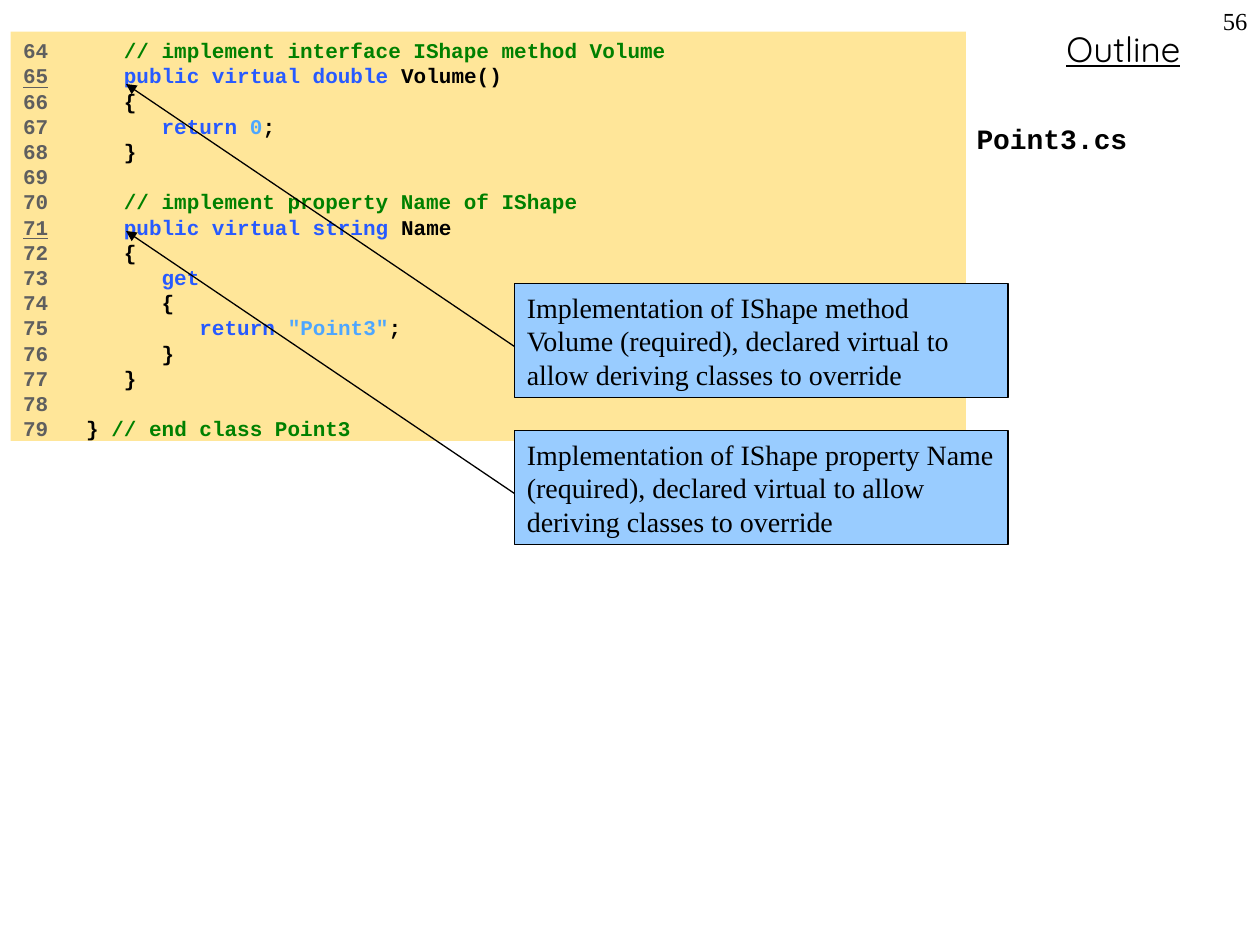
from lxml import etree
from pptx import Presentation
from pptx.dml.color import RGBColor
from pptx.enum.shapes import MSO_CONNECTOR, MSO_SHAPE
from pptx.enum.text import MSO_ANCHOR, MSO_AUTO_SIZE, PP_ALIGN
from pptx.oxml.ns import qn
from pptx.util import Pt

LEFT, CENTER, RIGHT = PP_ALIGN.LEFT, PP_ALIGN.CENTER, PP_ALIGN.RIGHT
TOP, FIXED = MSO_ANCHOR.TOP, MSO_AUTO_SIZE.NONE
RECT, LINE = MSO_SHAPE.RECTANGLE, MSO_CONNECTOR.STRAIGHT

BLACK = RGBColor(0x00, 0x00, 0x00)
GRAY = RGBColor(0x5F, 0x5F, 0x5F)
GREEN = RGBColor(0x00, 0x80, 0x00)
BLUE = RGBColor(0x27, 0x5A, 0xFF)
SKY = RGBColor(0x4D, 0xA6, 0xFF)
SAND = RGBColor(0xFF, 0xE6, 0x99)
PALE = RGBColor(0x99, 0xCC, 0xFF)

MONO, SERIF, SANS = "Courier New", "Times New Roman", "Quicksand"

FIRST = 64
MARKED = (65, 71)
CODE = [
    [("      // implement interface IShape method Volume", GREEN)],
    [("      public virtual double", BLUE), (" Volume()", BLACK)],
    [("      {", BLACK)],
    [("         return ", BLUE), ("0", SKY), (";", BLACK)],
    [("      }", BLACK)],
    [],
    [("      // implement property Name of IShape", GREEN)],
    [("      public virtual string", BLUE), (" Name", BLACK)],
    [("      {", BLACK)],
    [("         get", BLUE)],
    [("         {", BLACK)],
    [("            return ", BLUE), ('"Point3"', SKY), (";", BLACK)],
    [("         }", BLACK)],
    [("      }", BLACK)],
    [],
    [("   } ", BLACK), ("// end class Point3", GREEN)],
]
NOTES = [
    (162, "Implementation of IShape method Volume (required), "
          "declared virtual to allow deriving classes to override"),
    (246, "Implementation of IShape property Name (required), "
          "declared virtual to allow deriving classes to override"),
]


class Deck:
    """Holds the style and the current slide."""

    def __init__(self):
        self.prs = Presentation()
        self.prs.slide_width, self.prs.slide_height = Pt(720), Pt(540)
        self.slide = self.prs.slides.add_slide(self.prs.slide_layouts[0])
        self.shapes = self.slide.shapes

    def place(self, shape, x, y, w, h):
        shape.left, shape.top = Pt(x), Pt(y)
        shape.width, shape.height = Pt(w), Pt(h)

    def frame(self, shape):
        frame = shape.text_frame
        frame.word_wrap = True
        frame.auto_size = FIXED
        frame.vertical_anchor = TOP
        return frame

    def style(self, run, size, name, color=BLACK, bold=False, under=False):
        font = run.font
        font.size, font.name, font.bold = Pt(size), name, bold
        font.color.rgb = color
        font.underline = under

    def words(self, shape, text, size, name, align=LEFT, **look):
        frame = self.frame(shape)
        frame.text = text
        para = frame.paragraphs[0]
        para.alignment = align
        self.style(para.runs[0], size, name, **look)
        return para

    def label(self, box, text, size, name, align, **look):
        shape = self.shapes.add_textbox(*map(Pt, box))
        self.words(shape, text, size, name, align, **look)

    def title(self, text):
        shape = self.shapes.title
        self.place(shape, 558, 66, 162, 432)
        self.words(shape, text, 16, MONO, bold=True)
        shape.text_frame.margin_left = 0

    def code(self, rows):
        shape = self.slide.placeholders[1]
        self.place(shape, 6, 18, 546, 234)
        shape.fill.solid()
        shape.fill.fore_color.rgb = SAND
        frame = self.frame(shape)
        for num, row in enumerate(rows, FIRST):
            para = frame.paragraphs[0] if num == FIRST else frame.add_paragraph()
            para.alignment = LEFT
            para.space_before = Pt(0)
            para.line_spacing = Pt(14.4)
            para.text = str(num)
            self.style(para.runs[0], 12, MONO, GRAY, True, num in MARKED)
            for text, color in row:
                run = para.add_run()
                run.text = text
                self.style(run, 12, MONO, color, True)

    def note(self, top, text):
        shape = self.shapes.add_shape(RECT, Pt(294), Pt(top), Pt(282), Pt(65))
        shape.shadow.inherit = False
        shape.fill.solid()
        shape.fill.fore_color.rgb = PALE
        shape.line.color.rgb = BLACK
        shape.line.width = Pt(0.75)
        para = self.words(shape, text, 16, SERIF)
        para.line_spacing = Pt(19.4)

    def arrow(self, x1, y1, x2, y2):
        line = self.shapes.add_connector(LINE, Pt(x1), Pt(y1), Pt(x2), Pt(y2))
        line.line.color.rgb = BLACK
        line.line.width = Pt(0.75)
        props = line._element.spPr
        etree.SubElement(props.find(qn("a:ln")), qn("a:tailEnd"), type="triangle")
        etree.SubElement(props, qn("a:effectLst"))


def main():
    deck = Deck()
    deck.label((564, 12, 156, 32), "Outline", 20, SANS, CENTER, under=True)
    deck.title("Point3.cs")
    deck.code(CODE)
    for top, text in NOTES:
        deck.note(top, text)
        deck.arrow(294, top + 36, 72, top - 114)
    deck.label((684, 0, 36, 36), "56", 14, SERIF, RIGHT)
    deck.prs.save("out.pptx")


if __name__ == "__main__":
    main()
